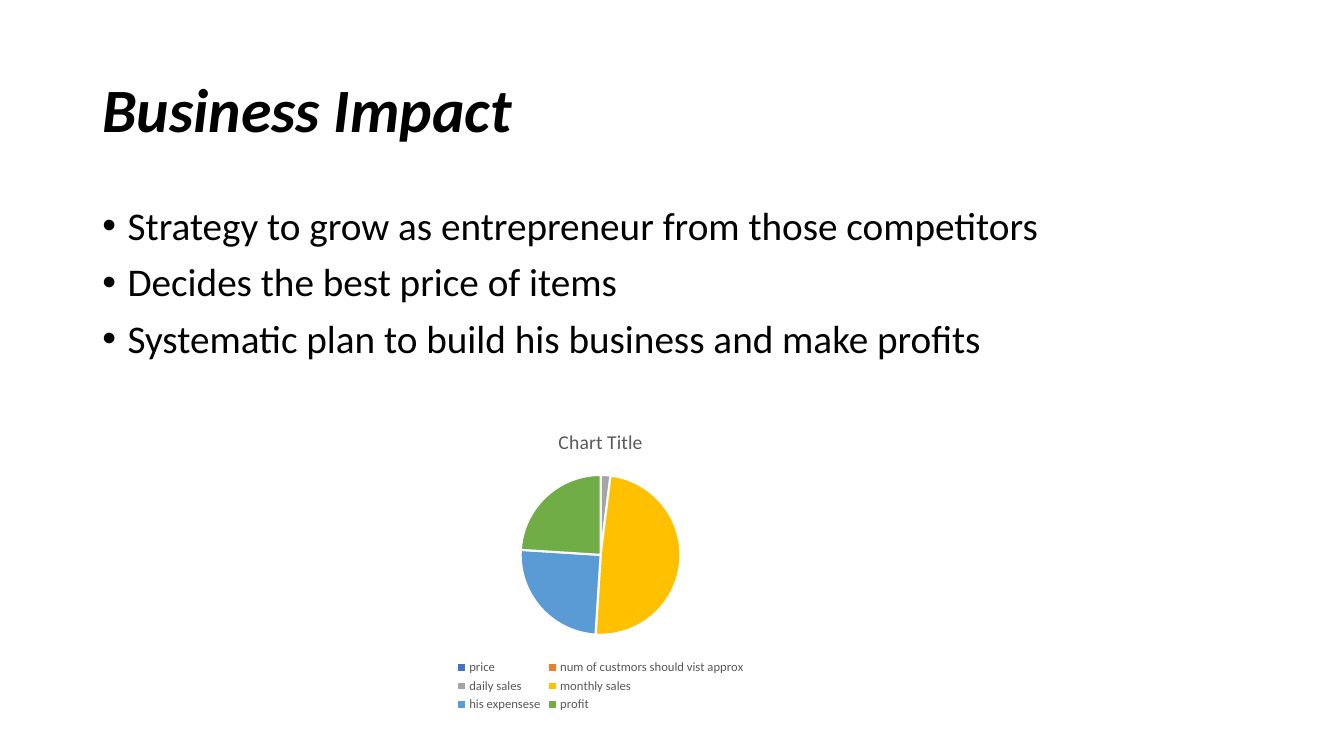
from dataclasses import dataclass

import lxml.etree
import pptx
import pptx.chart.data
import pptx.dml.color
import pptx.enum.chart
import pptx.enum.text
import pptx.oxml.ns
import pptx.util


@dataclass(frozen=True)
class Theme:
    font: str = "Calibri"
    ink: str = "000000"
    muted: str = "595959"
    paper: str = "FFFFFF"
    slices: tuple = ("4472C4", "ED7D31", "A5A5A5", "FFC000", "5B9BD5", "70AD47")
    title_size: int = 44
    body_size: int = 28
    chart_title_size: int = 14
    chart_size: int = 10
    legend_size: int = 9


def px(length):
    return pptx.util.Emu(length * 9525)


def rgb(color):
    return pptx.dml.color.RGBColor.from_string(color)


def format_font(font, name, size, color, bold=False, italic=False):
    font.name = name
    font.size = pptx.util.Pt(size)
    font.color.rgb = rgb(color)
    font.bold = bold
    font.italic = italic


def write_text(paragraph, text, space_before=0, line_spacing=0.9, **font_format):
    paragraph.alignment = pptx.enum.text.PP_ALIGN.LEFT
    paragraph.line_spacing = line_spacing
    paragraph.space_before = pptx.util.Pt(space_before)
    run = paragraph.add_run()
    run.text = text
    format_font(run.font, **font_format)


def add_bullet(paragraph, indent):
    properties = paragraph._p.get_or_add_pPr()
    properties.set("marL", str(indent))
    properties.set("indent", str(-indent))
    for tag, name, value in (("a:buFont", "typeface", "Arial"), ("a:buChar", "char", "•")):
        element = lxml.etree.SubElement(properties, pptx.oxml.ns.qn(tag))
        element.set(name, value)


class SlideBuilder:
    def __init__(self, presentation, theme):
        self.theme = theme
        self.slide = presentation.slides.add_slide(presentation.slide_layouts[1])
        self.slide.background.fill.solid()
        self.slide.background.fill.fore_color.rgb = rgb(theme.paper)

    def place(self, shape, box, anchor):
        shape.left, shape.top, shape.width, shape.height = map(px, box)
        frame = shape.text_frame
        frame.word_wrap = True
        frame.auto_size = pptx.enum.text.MSO_AUTO_SIZE.NONE
        frame.vertical_anchor = anchor
        return frame

    def title(self, text, box):
        frame = self.place(self.slide.shapes.title, box, pptx.enum.text.MSO_ANCHOR.MIDDLE)
        write_text(frame.paragraphs[0], text, name=self.theme.font,
                   size=self.theme.title_size, color=self.theme.ink, bold=True, italic=True)

    def bullets(self, items, box):
        frame = self.place(self.slide.placeholders[1], box, pptx.enum.text.MSO_ANCHOR.TOP)
        for index, item in enumerate(items):
            paragraph = frame.add_paragraph() if index else frame.paragraphs[0]
            write_text(paragraph, item, space_before=10, name=self.theme.font,
                       size=self.theme.body_size, color=self.theme.ink)
            add_bullet(paragraph, px(24))

    def pie(self, title, values, box):
        theme = self.theme
        data = pptx.chart.data.CategoryChartData()
        data.categories = list(values)
        data.add_series("Series 1", list(values.values()))
        chart = self.slide.shapes.add_chart(
            pptx.enum.chart.XL_CHART_TYPE.PIE, *map(px, box), data).chart
        format_font(chart.font, theme.font, theme.chart_size, theme.ink)

        chart.has_title = True
        write_text(chart.chart_title.text_frame.paragraphs[0], title, line_spacing=1,
                   name=theme.font, size=theme.chart_title_size, color=theme.muted)
        chart.chart_title.include_in_layout = False

        chart.has_legend = True
        chart.legend.position = pptx.enum.chart.XL_LEGEND_POSITION.BOTTOM
        chart.legend.include_in_layout = False
        format_font(chart.legend.font, theme.font, theme.legend_size, theme.muted)

        plot = chart.plots[0]
        plot.vary_by_categories = True
        for index, color in enumerate(theme.slices):
            style = plot.series[0].points[index].format
            style.fill.solid()
            style.fill.fore_color.rgb = rgb(color)
            style.line.color.rgb = rgb(theme.paper)
            style.line.width = pptx.util.Pt(1.5)


def main():
    presentation = pptx.Presentation()
    presentation.slide_width = px(1280)
    presentation.slide_height = px(720)
    builder = SlideBuilder(presentation, Theme())
    builder.title("Business Impact", (88, 38, 1104, 139))
    builder.bullets(
        ("Strategy to grow as entrepreneur from those competitors",
         "Decides the best price of items",
         "Systematic plan to build his business and make profits"),
        (88, 192, 1104, 457))
    builder.pie(
        "Chart Title",
        {"price": 0, "num of custmors should vist approx": 0, "daily sales": 2,
         "monthly sales": 49, "his expensese": 25, "profit": 24},
        (332, 394, 480, 288))
    presentation.save("out.pptx")


if __name__ == "__main__":
    main()
